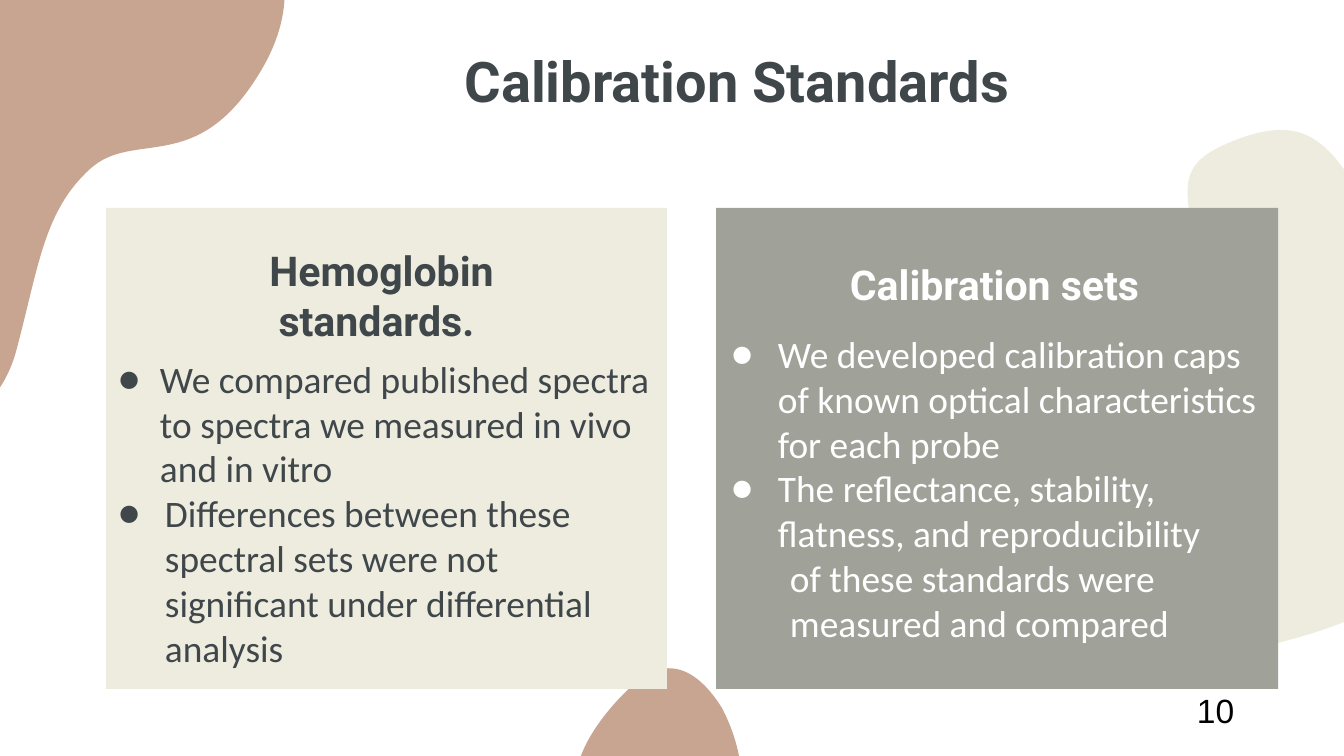
from math import cos, radians, sin

from lxml import etree
from pptx import Presentation
from pptx.dml.color import RGBColor
from pptx.enum.shapes import MSO_SHAPE
from pptx.enum.text import MSO_ANCHOR, PP_ALIGN
from pptx.oxml.ns import qn
from pptx.util import Pt

PX = 914400 / 134.4
INSET = 13

ROUNDED = MSO_SHAPE.ROUNDED_RECTANGLE
LEFT, CENTER = PP_ALIGN.LEFT, PP_ALIGN.CENTER
TOP, BOTTOM = MSO_ANCHOR.TOP, MSO_ANCHOR.BOTTOM

SLATE = RGBColor(0x40, 0x47, 0x4B)
CLAY = RGBColor(0xC8, 0xA5, 0x91)
CREAM = RGBColor(0xED, 0xEC, 0xDF)
STONE = RGBColor(0xA0, 0xA2, 0x99)
WHITE = RGBColor(0xFF, 0xFF, 0xFF)
BLACK = RGBColor(0x00, 0x00, 0x00)

# Each blob: fill, box, rotation, then cubic curves as they lie on the slide
# (two controls and an end); the outline starts at the last end
BLOBS = [
    (CLAY, (-285, -142, 652, 546), 92.9, [
        ((251, -108), (324, -31), (259, 74)),
        ((196, 177), (134, 129), (90, 169)),
        ((44, 211), (39, 265), (17, 348)),
        ((-4, 431), (-81, 450), (-136, 376)),
        ((-191, 302), (-233, 151), (-171, 79)),
        ((-109, 8), (-40, -82), (-3, -140)),
        ((34, -196), (153, -180), (203, -144))]),
    (CREAM, (731, 130, 808, 543), 0, [
        ((1269, 130), (1255, 133), (1241, 138)),
        ((1163, 167), (1191, 188), (1200, 292)),
        ((1215, 462), (804, 362), (757, 543)),
        ((731, 640), (790, 673), (954, 673)),
        ((1003, 673), (1060, 669), (1128, 665)),
        ((1422, 644), (1538, 532), (1443, 356)),
        ((1364, 207), (1343, 130), (1281, 130))]),
    (CLAY, (581, 684, 181, 173), 227, [
        ((601, 823), (650, 860), (707, 836)),
        ((762, 810), (738, 738), (722, 708)),
        ((704, 679), (673, 649), (634, 684)),
        ((595, 719), (563, 771), (582, 797))]),
]

# Paragraphs: text, left margin, first-line indent (negative means bulleted)
HEMOGLOBIN = [
    ("We compared published spectra to spectra we measured in vivo and in vitro",
     62, -42),
    ("Differences between these spectral sets were not significant under "
     "differential analysis", 67, -47),
]
CALIBRATION = [
    ("We developed calibration caps of known optical characteristics "
     "for each probe", 67, -47),
    ("The reflectance, stability, flatness, and reproducibility", 67, -47),
    ("of these standards were", 79, 0),
    ("measured and compared", 79, 0),
]


def emu(px):
    return round(px * PX)


def paint(sp, color):
    sp.shadow.inherit = False
    sp.fill.solid()
    sp.fill.fore_color.rgb = color
    sp.line.fill.background()


def to_local(point, box, rotation):
    """Turn a slide point back into the unrotated box, from its corner."""
    x, y, w, h = box
    dx, dy = point[0] - x - w / 2, point[1] - y - h / 2
    c, d = cos(radians(rotation)), sin(radians(rotation))
    return emu(dx * c + dy * d + w / 2), emu(dy * c - dx * d + h / 2)


def add_blob(s, color, box, rotation, curves):
    local = [[to_local(pt, box, rotation) for pt in curve] for curve in curves]
    ends = [curve[-1] for curve in local]
    fb = s.shapes.build_freeform(*ends[-1])
    fb.add_line_segments(ends, close=True)
    sp = fb.convert_to_shape()
    sp.left, sp.top, sp.width, sp.height = map(emu, box)
    sp.rotation = rotation
    paint(sp, color)

    # Bend the straight segments into cubic curves
    outline = next(sp._element.iter(qn("a:path")))
    outline.set("w", str(sp.width))
    outline.set("h", str(sp.height))
    for child in list(outline):
        outline.remove(child)
    segments = [("a:moveTo", ends[-1:])]
    segments += [("a:cubicBezTo", curve) for curve in local]
    for tag, points in segments + [("a:close", [])]:
        segment = etree.SubElement(outline, qn(tag))
        for x, y in points:
            pt = etree.SubElement(segment, qn("a:pt"))
            pt.set("x", str(x))
            pt.set("y", str(y))


def add_bullet(p, color):
    pPr = p._p.get_or_add_pPr()
    clr = etree.SubElement(pPr, qn("a:buClr"))
    etree.SubElement(clr, qn("a:srgbClr")).set("val", str(color))
    etree.SubElement(pPr, qn("a:buFont")).set("typeface", "Calibri")
    etree.SubElement(pPr, qn("a:buChar")).set("char", "●")


def add_text(s, box, paragraphs, font, size, color, bold=False,
             align=LEFT, anchor=TOP, inset_y=INSET):
    tf = s.shapes.add_textbox(*map(emu, box)).text_frame
    tf.word_wrap = True
    tf.vertical_anchor = anchor
    tf.margin_left = tf.margin_right = emu(INSET)
    tf.margin_top = tf.margin_bottom = emu(inset_y)
    for i, (text, margin, indent) in enumerate(paragraphs):
        p = tf.add_paragraph() if i else tf.paragraphs[0]
        p.text = text
        p.alignment = align
        f = p.runs[0].font
        f.name, f.size, f.bold, f.color.rgb = font, Pt(size), bold, color
        pPr = p._p.get_or_add_pPr()
        pPr.set("marL", str(emu(margin)))
        pPr.set("indent", str(emu(indent)))
        if indent < 0:
            add_bullet(p, color)


def add_title(s, box, text):
    add_text(s, box, [(text, 0, 0)], "Roboto", 30, SLATE, True, CENTER, BOTTOM)


def add_card(s, box, fill):
    sp = s.shapes.add_shape(ROUNDED, *map(emu, box))
    sp.adjustments[0] = 0
    paint(sp, fill)


def add_body(s, box, paragraphs, color):
    add_text(s, box, paragraphs, "Calibri", 20, color)


def add_heading(s, box, text, color):
    add_text(s, box, [(text, 0, 0)], "Roboto", 22, color, True, CENTER)


def add_page_number(s, box, number):
    add_text(s, box, [(number, 0, 0)], "Arial", 18, BLACK, inset_y=7)


def main():
    prs = Presentation()
    prs.slide_width, prs.slide_height = emu(1344), emu(756)
    s = prs.slides.add_slide(prs.slide_layouts[6])

    # Background blobs
    for blob in BLOBS:
        add_blob(s, *blob)

    # Title
    add_title(s, (163, 48, 1134, 79), " Calibration Standards")

    # Cards, then their body texts and headings
    add_card(s, (716, 208, 562, 481), STONE)
    add_card(s, (106, 208, 561, 481), CREAM)
    add_body(s, (85, 343, 583, 273), HEMOGLOBIN, SLATE)
    add_body(s, (698, 318, 583, 273), CALIBRATION, WHITE)
    add_heading(s, (195, 233, 363, 71), " Hemoglobin standards.", SLATE)
    add_heading(s, (808, 246, 363, 71), " Calibration sets", WHITE)

    # Page number
    add_page_number(s, (1184, 683, 94, 54), "10")

    prs.save("out.pptx")


if __name__ == "__main__":
    main()
